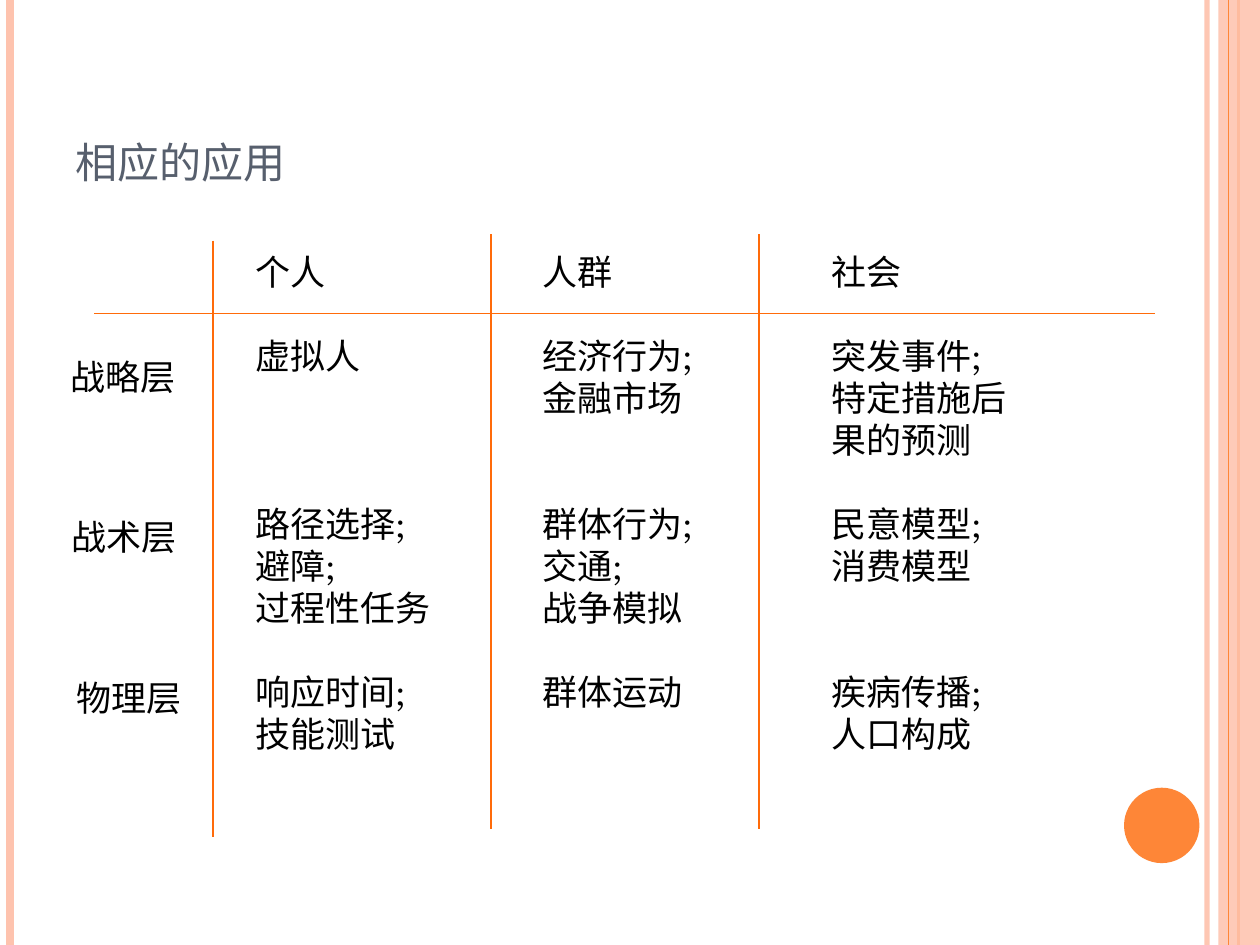
from math import ceil

from lxml.etree import SubElement
from pptx import Presentation
from pptx.dml.color import RGBColor
from pptx.enum.shapes import MSO_CONNECTOR, MSO_SHAPE
from pptx.enum.text import MSO_ANCHOR, MSO_AUTO_SIZE, PP_ALIGN
from pptx.oxml.ns import qn
from pptx.util import Cm, Pt

WIDTH, HEIGHT = 25.4, 19.05
ORANGE, PEACH, RULE = "FE8637", "FEC3AE", "FF6B0A"
LINE_PT = 24          # height of one text line
ROW_LINES = 4         # text lines from one table row to the next
CHARS_PER_LINE = 5

COLUMNS = [
    (4.9, "个人", [["虚拟人"], ["路径选择;", "避障;", "过程性任务"],
                 ["响应时间;", "技能测试"]]),
    (10.69, "人群", [["经济行为;", "金融市场"],
                   ["群体行为;", "交通;", "战争模拟"], ["群体运动"]]),
    (16.51, "社会", [["突发事件;", "特定措施后果的预测"],
                   ["民意模型;", "消费模型"], ["疾病传播;", "人口构成"]]),
]
ROW_LABELS = [(1.17, 7.04, "战略层"), (1.19, 10.26, "战术层"),
              (1.3, 13.51, "物理层")]
DIVIDERS = [(4.3, 4.85, 16.87), (9.9, 4.72, 16.71), (15.3, 4.72, 16.71)]


def rgb(color):
    return RGBColor.from_string(color)


def set_opacity(fill_parent, percent):
    color = fill_parent.find(".//" + qn("a:srgbClr"))
    SubElement(color, qn("a:alpha"), val=str(percent * 1000))


class SlideBuilder:
    font = "TeX Gyre Schola"
    text_size = 20
    text_color = "000000"

    def __init__(self, slide):
        self.slide = slide

    def style(self, p, size, color):
        p.font.name = self.font
        p.font.size = Pt(size)
        p.font.color.rgb = rgb(color)

    def title(self, text, x, y, w, h):
        sp = self.slide.shapes.title
        sp.left, sp.top, sp.width, sp.height = Cm(x), Cm(y), Cm(w), Cm(h)
        tf = sp.text_frame
        tf.text = text
        tf.vertical_anchor = MSO_ANCHOR.BOTTOM
        tf.auto_size = MSO_AUTO_SIZE.NONE
        p = tf.paragraphs[0]
        p.alignment = PP_ALIGN.LEFT
        self.style(p, 30, "575F6D")
        p.runs[0].font._element.set("cap", "small")

    def text(self, paragraphs, x, y, w, h):
        """Add a text box from (text, blank lines above) pairs."""
        tf = self.slide.shapes.add_textbox(Cm(x), Cm(y), Cm(w), Cm(h)).text_frame
        tf.word_wrap = True
        for i, (text, gap) in enumerate(paragraphs):
            p = tf.add_paragraph() if i else tf.paragraphs[0]
            p.text = text
            p.space_before = Pt(gap * LINE_PT)
            self.style(p, self.text_size, self.text_color)

    def line(self, x1, y1, x2, y2, color, width, opacity=100):
        s = self.slide.shapes.add_connector(
            MSO_CONNECTOR.STRAIGHT, Cm(x1), Cm(y1), Cm(x2), Cm(y2))
        s.line.color.rgb = rgb(color)
        s.line.width = Pt(width)
        props = s._element.spPr
        if opacity < 100:
            set_opacity(props, opacity)
        SubElement(props, qn("a:effectLst"))

    def shape(self, kind, x, y, w, h, color, opacity=100):
        sp = self.slide.shapes.add_shape(kind, Cm(x), Cm(y), Cm(w), Cm(h))
        sp.shadow.inherit = False
        sp.fill.solid()
        sp.fill.fore_color.rgb = rgb(color)
        sp.line.fill.background()
        if opacity < 100:
            set_opacity(sp._element.spPr, opacity)


def column_paragraphs(header, rows):
    """Pair each text with the blank lines that align the rows across columns."""
    paragraphs = [(header, 0)]
    gap = 1
    for row in rows:
        paragraphs += [(text, 0 if i else gap) for i, text in enumerate(row)]
        gap = ROW_LINES - sum(ceil(len(text) / CHARS_PER_LINE) for text in row)
    return paragraphs


def add_frame(b):
    b.line(24.33, 0, 24.33, HEIGHT, PEACH, 3, 93)
    b.line(0.2, 0, 0.2, HEIGHT, PEACH, 4.5)
    b.line(24.97, 0, 24.97, HEIGHT, ORANGE, 1.5)
    b.shape(MSO_SHAPE.RECTANGLE, 24.56, 0, 0.84, HEIGHT, PEACH, 87)
    b.line(24.77, 0, 24.77, HEIGHT, ORANGE, 0.75)
    b.shape(MSO_SHAPE.OVAL, 22.66, 15.88, 1.52, 1.52, ORANGE)


def main():
    prs = Presentation()
    prs.slide_width, prs.slide_height = Cm(WIDTH), Cm(HEIGHT)
    b = SlideBuilder(prs.slides.add_slide(prs.slide_layouts[5]))

    add_frame(b)
    b.title("相应的应用", 1.27, 0.76, 20.75, 3.18)
    for x, header, rows in COLUMNS:
        b.text(column_paragraphs(header, rows), x, 4.93, 4.6, 10.5)
    b.line(1.9, 6.32, 23.29, 6.32, RULE, 1)
    for x, top, bottom in DIVIDERS:
        b.line(x, top, x, bottom, RULE, 1)
    for x, y, label in ROW_LABELS:
        b.text([(label, 0)], x, y, 3.2, 1.12)

    prs.save("out.pptx")


if __name__ == "__main__":
    main()
